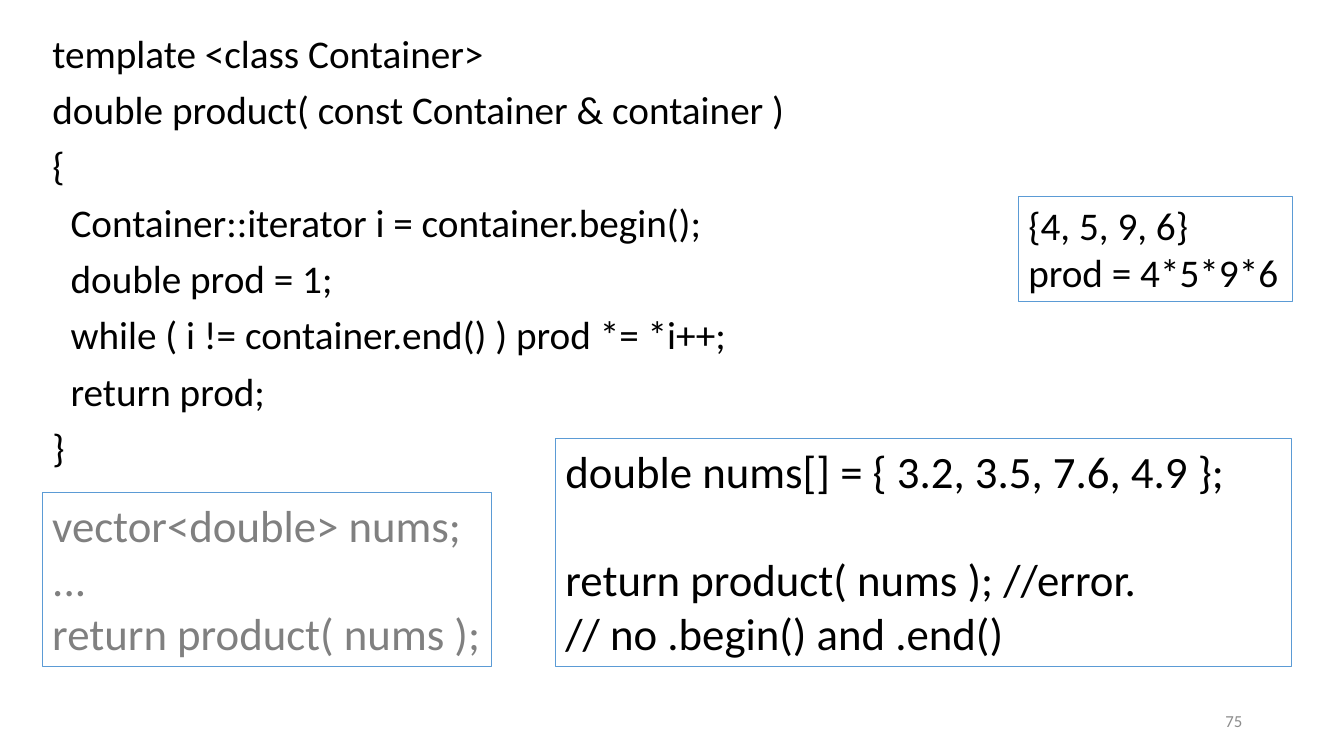
"""Build a slide on a generic product function and the containers it accepts."""
from lxml import etree
from pptx import Presentation
from pptx import util as u
from pptx.dml.color import RGBColor
from pptx.enum import shapes, text
from pptx.oxml.ns import qn


def color(value):
    return RGBColor.from_string(value)


def write(shape, lines, size, ink, **paragraph_format):
    frame = shape.text_frame
    frame.text = "\n".join(lines)
    for paragraph in frame.paragraphs:
        for name, value in paragraph_format.items():
            setattr(paragraph, name, value)
        for name, value in {"name": "Calibri", "size": u.Pt(size)}.items():
            setattr(paragraph.font, name, value)
        paragraph.font.color.rgb = color(ink)
    return frame


presentation = Presentation()
presentation.slide_width = u.Inches(13.33)
presentation.slide_height = u.Inches(7.5)
slide = presentation.slides.add_slide(presentation.slide_layouts[1])
title, code = slide.placeholders
title.element.getparent().remove(title.element)

for name, value in {"left": 0.42, "top": 0.29, "width": 12.4, "height": 6.02}.items():
    setattr(code, name, u.Inches(value))
code_lines = [
    (0, "template <class Container>"),
    (0, "double product( const Container & container )"),
    (0, "{"),
    (0.18, "Container::iterator i = container.begin();"),
    (0.18, "double prod = 1;"),
    (0.18, "while ( i != container.end() ) prod *= *i++;"),
    (0.18, "return prod;"),
    (0, "}"),
]
frame = write(code, [line for _, line in code_lines], 28, "000000",
              alignment=text.PP_ALIGN.LEFT, line_spacing=0.9, space_before=u.Pt(10))
frame.auto_size = text.MSO_AUTO_SIZE.NONE
for paragraph, (indent, _) in zip(frame.paragraphs, code_lines):
    properties = paragraph._p.get_or_add_pPr()
    properties.set("marL", str(u.Inches(indent)))
    properties.set("indent", "0")
    bullet = etree.Element(qn("a:buNone"))
    properties.find(qn("a:spcBef")).addnext(bullet)

boxes = [
    ((0.42, 4.89, 4.46, 1.72), 32, "808080", True,
     ["vector<double> nums;", "...", "return product( nums );"]),
    ((5.51, 4.35, 7.3, 2.26), 32, "000000", True,
     ["double nums[] = { 3.2, 3.5, 7.6, 4.9 };",
      "return product( nums ); //error.", "// no .begin() and .end()"]),
    ((10.1, 1.95, 2.72, 1.04), 28, "000000", False,
     ["{4, 5, 9, 6}", "prod = 4*5*9*6"]),
]
frames = []
for place, size, ink, wrap, lines in boxes:
    box = slide.shapes.add_shape(shapes.MSO_SHAPE.RECTANGLE, *map(u.Inches, place))
    box.shadow.inherit = False
    box.fill.background()
    box.line.color.rgb = color("5B9BD5")
    box.line.width = u.Pt(0.75)
    frame = write(box, lines, size, ink, alignment=text.PP_ALIGN.LEFT)
    frame_format = {"word_wrap": wrap, "vertical_anchor": text.MSO_ANCHOR.TOP,
                    "auto_size": text.MSO_AUTO_SIZE.SHAPE_TO_FIT_TEXT}
    for name, value in frame_format.items():
        setattr(frame, name, value)
    frames.append(frame)
array_example = frames[1]
array_example.paragraphs[1].space_before = u.Pt(39)

page_number = slide.shapes.add_textbox(*map(u.Inches, (9.42, 6.95, 3, 0.4)))
frame = write(page_number, ["75"], 12, "8C8C8C", alignment=text.PP_ALIGN.RIGHT)
frame.word_wrap = True
frame.vertical_anchor = text.MSO_ANCHOR.MIDDLE

presentation.save("out.pptx")
